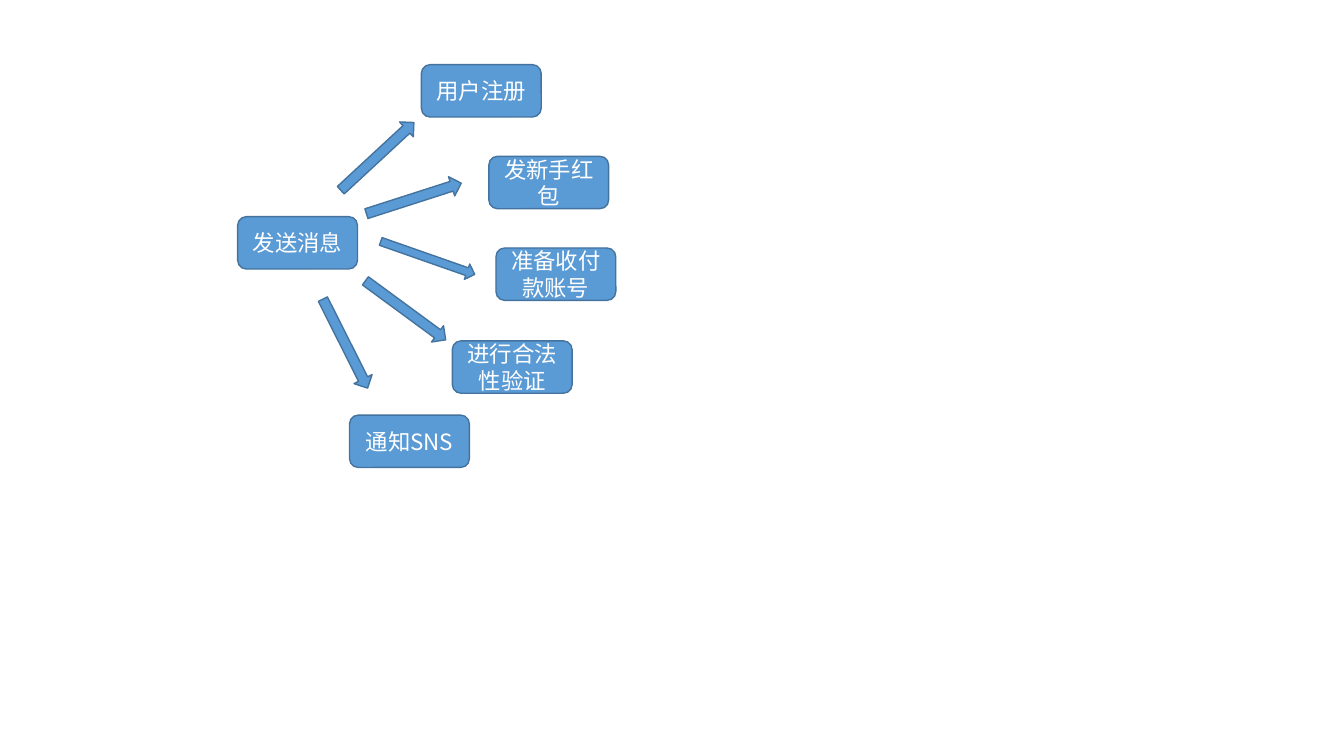
from dataclasses import dataclass
from lxml.etree import SubElement
from pptx import Presentation
from pptx.dml.color import RGBColor
from pptx.enum.shapes import MSO_SHAPE
from pptx.enum.text import MSO_ANCHOR, PP_ALIGN
from pptx.oxml.ns import qn
from pptx.util import Cm, Pt


@dataclass(frozen=True)
class Theme:
    """Colours, font and sizes of the slide."""
    fill: RGBColor = RGBColor(0x5B, 0x9B, 0xD5)
    line: RGBColor = RGBColor(0x43, 0x73, 0x9E)
    text: RGBColor = RGBColor(0xFF, 0xFF, 0xFF)
    font: str = "Noto Sans CJK SC"
    text_size: int = 16
    line_width: int = 1


THEME = Theme()
BOX_SIZE = (3.02, 1.32)
ARROW_LENGTH = 2.51

# Text, left and top in cm
SENDER = ("发送消息", 5.99, 5.46)
RECEIVERS = [
    ("用户注册", 10.62, 1.63),
    ("发新手红包", 12.32, 3.94),
    ("准备收付款账号", 12.5, 6.25),
    ("进行合法性验证", 11.4, 8.59),
    ("通知SNS", 8.81, 10.46),
]
# Centre x, centre y and thickness in cm, clockwise angle in degrees
ARROWS = [
    (9.51, 3.94, 0.51, -42.8),
    (10.43, 5.0, 0.51, -17.8),
    (10.78, 6.5, 0.41, 19.3),
    (10.22, 7.82, 0.51, 36.3),
    (8.7, 8.66, 0.51, 63.3),
]


def add_filled_shape(page, kind, left, top, width, height):
    """Add a preset shape in the theme's fill and outline."""
    shape = page.shapes.add_shape(kind, Cm(left), Cm(top), Cm(width), Cm(height))
    shape.shadow.inherit = False
    shape.fill.solid()
    shape.fill.fore_color.rgb = THEME.fill
    shape.line.color.rgb = THEME.line
    shape.line.width = Pt(THEME.line_width)
    return shape


def write_text(box, text, *, size=THEME.text_size, color=THEME.text,
               font=THEME.font, align=PP_ALIGN.CENTER, anchor=MSO_ANCHOR.MIDDLE):
    """Write one formatted paragraph into a box."""
    frame = box.text_frame
    frame.word_wrap = True
    frame.vertical_anchor = anchor
    para = frame.paragraphs[0]
    para.alignment = align
    span = para.add_run()
    span.text = text
    span.font.size = Pt(size)
    span.font.color.rgb = color
    span.font.name = font
    SubElement(span.font._element, qn("a:ea"), typeface=font)


def add_step(page, text, left, top):
    """Add a rounded box with its label."""
    box = add_filled_shape(page, MSO_SHAPE.ROUNDED_RECTANGLE, left, top, *BOX_SIZE)
    write_text(box, text)


def add_arrow(page, center_x, center_y, thickness, angle):
    """Add a block arrow turned about its centre."""
    arrow = add_filled_shape(page, MSO_SHAPE.RIGHT_ARROW,
                             center_x - ARROW_LENGTH / 2, center_y - thickness / 2,
                             ARROW_LENGTH, thickness)
    arrow.rotation = angle % 360


def build():
    """Build the message flow slide and save the deck."""
    deck = Presentation()
    deck.slide_width, deck.slide_height = Cm(33.87), Cm(19.05)
    page = deck.slides.add_slide(deck.slide_layouts[6])
    for step in [SENDER, *RECEIVERS]:
        add_step(page, *step)
    for arrow in ARROWS:
        add_arrow(page, *arrow)
    deck.save("out.pptx")


build()
